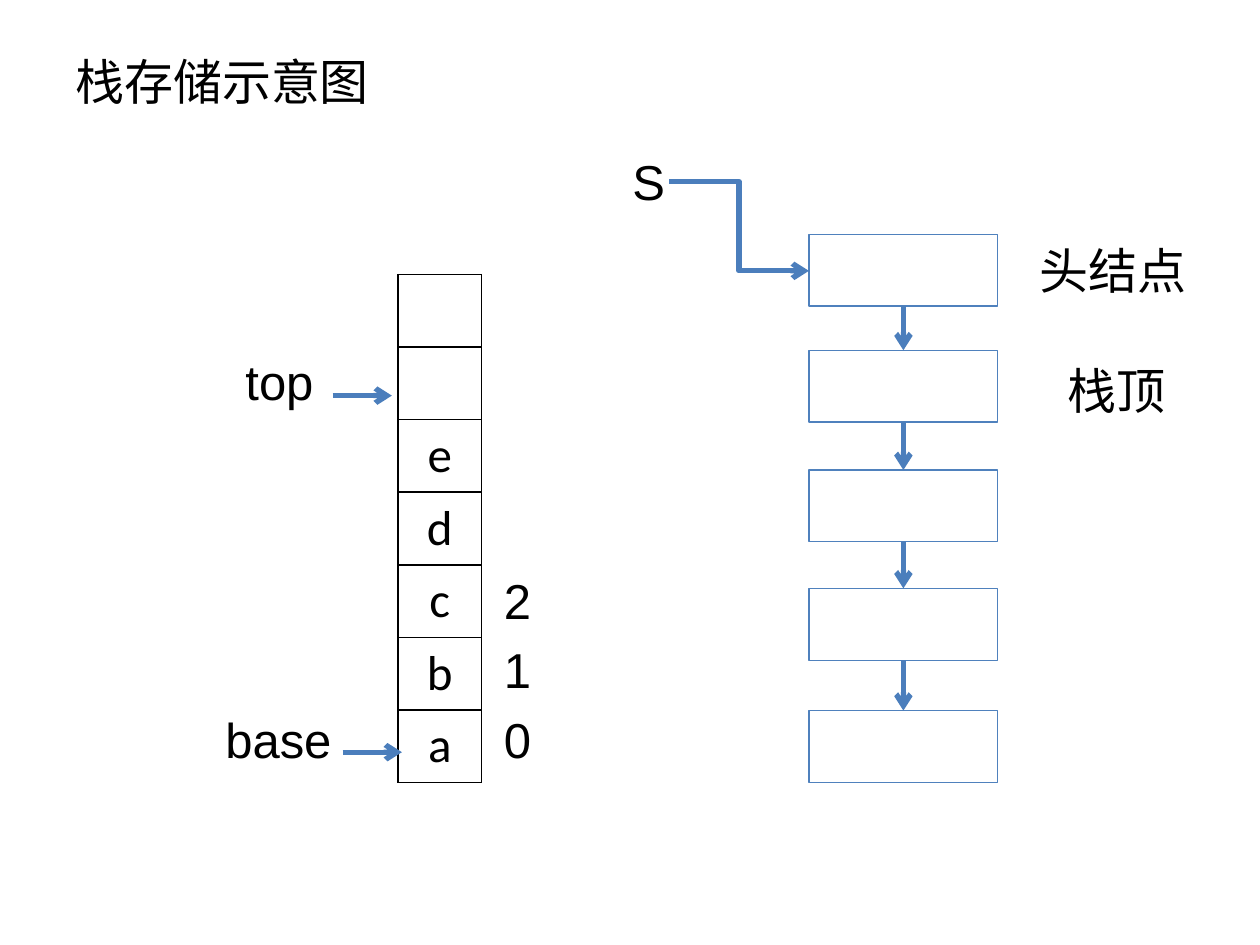
import dataclasses
import itertools

import lxml.etree
import pptx
import pptx.dml.color
import pptx.enum.shapes
import pptx.enum.text
import pptx.oxml.ns
import pptx.util

# The slide is a grid of 100 columns by 75 rows of square units.
UNIT = 0.1
BLACK, WHITE, NODE_BLUE, ARROW_BLUE = "000000", "FFFFFF", "4F81BD", "4B7EBC"
TEXT_SIZE = 28
LABEL_HEIGHT = 5.7
ALIGN = pptx.enum.text.PP_ALIGN
ANCHOR = pptx.enum.text.MSO_ANCHOR
CONNECTOR = pptx.enum.shapes.MSO_CONNECTOR

STACK = ("", "", "e", "d", "c", "b", "a")
STACK_COL, STACK_ROW, STACK_WIDTH, CELL_HEIGHT = 31.6, 21.8, 6.6, 5.7
NODE_COL, NODE_WIDTH, NODE_HEIGHT = 64.2, 15, 5.7
NODE_ROWS = (18.6, 27.8, 37.3, 46.7, 56.4)
INDEX_COL, INDEX_BASE_ROW, INDEX_STEP = 39, 55.8, 5.5


@dataclasses.dataclass(frozen=True)
class Label:
    text: str
    col: float
    row: float
    width: float
    height: float = LABEL_HEIGHT
    font: str = "Arial"
    align: ALIGN = ALIGN.LEFT
    anchor: ANCHOR = ANCHOR.TOP


@dataclasses.dataclass(frozen=True)
class Arrow:
    start: tuple[float, float]
    end: tuple[float, float]
    kind: CONNECTOR = CONNECTOR.STRAIGHT


LABELS = (
    Label("栈存储示意图", 5, 3, 90, 6.9, "Calibri", anchor=ANCHOR.MIDDLE),
    Label("top", 18.5, 27.4, 8.7),
    Label("base", 16.9, 55.8, 11),
    Label("S", 49.2, 11.5, 3.9),
    Label("头结点", 81.5, 18.6, 14.2),
    Label("栈顶", 81.5, 28.1, 14.2, align=ALIGN.CENTER),
    *(Label(str(i), INDEX_COL, INDEX_BASE_ROW - i * INDEX_STEP, 6.3) for i in range(3)),
)
POINTERS = (
    Arrow((26.4, 31.4), (31.1, 31.4)),
    Arrow((27.2, 59.7), (31.9, 59.7)),
    Arrow((53.1, 14.4), (NODE_COL, 21.5), CONNECTOR.ELBOW),
)


def units(count: float) -> pptx.util.Inches:
    return pptx.util.Inches(count * UNIT)


def color(value: str) -> pptx.dml.color.RGBColor:
    return pptx.dml.color.RGBColor.from_string(value)


def write(paragraph, text: str, font: str, align: ALIGN) -> None:
    paragraph.alignment = align
    run = paragraph.add_run()
    run.text = text
    run.font.name = font
    run.font.size = pptx.util.Pt(TEXT_SIZE)
    run.font.color.rgb = color(BLACK)


def add_label(slide, label: Label) -> None:
    box = slide.shapes.add_textbox(*map(units, (label.col, label.row, label.width, label.height)))
    box.text_frame.word_wrap = True
    box.text_frame.vertical_anchor = label.anchor
    write(box.text_frame.paragraphs[0], label.text, label.font, label.align)


def add_node(slide, row: float):
    node = slide.shapes.add_shape(
        pptx.enum.shapes.MSO_SHAPE.RECTANGLE,
        *map(units, (NODE_COL, row, NODE_WIDTH, NODE_HEIGHT)),
    )
    node.shadow.inherit = False
    node.fill.background()
    node.line.color.rgb = color(NODE_BLUE)
    node.line.width = pptx.util.Pt(0.75)
    return node


def add_arrow(slide, arrow: Arrow):
    connector = slide.shapes.add_connector(arrow.kind, *map(units, arrow.start + arrow.end))
    connector.line.color.rgb = color(ARROW_BLUE)
    connector.line.width = pptx.util.Pt(3)
    outline = connector.line._get_or_add_ln()
    lxml.etree.SubElement(outline, pptx.oxml.ns.qn("a:tailEnd"), type="arrow")
    lxml.etree.SubElement(connector._element.spPr, pptx.oxml.ns.qn("a:effectLst"))
    return connector


def link_nodes(slide, upper, lower, upper_row: float, lower_row: float) -> None:
    middle = NODE_COL + NODE_WIDTH / 2
    link = add_arrow(slide, Arrow((middle, upper_row + NODE_HEIGHT), (middle, lower_row)))
    link.begin_connect(upper, 2)
    link.end_connect(lower, 0)


def border_cell(cell) -> None:
    properties = cell._tc.get_or_add_tcPr()
    for side in ("lnL", "lnR", "lnT", "lnB"):
        edge = lxml.etree.SubElement(
            properties, pptx.oxml.ns.qn(f"a:{side}"), w=str(pptx.util.Pt(1))
        )
        fill = lxml.etree.SubElement(edge, pptx.oxml.ns.qn("a:solidFill"))
        lxml.etree.SubElement(fill, pptx.oxml.ns.qn("a:srgbClr"), val=BLACK)


def add_stack(slide) -> None:
    frame = slide.shapes.add_table(
        len(STACK), 1,
        *map(units, (STACK_COL, STACK_ROW, STACK_WIDTH, CELL_HEIGHT * len(STACK))),
    )
    table = frame.table
    table.first_row = table.horz_banding = False
    for index, element in enumerate(STACK):
        table.rows[index].height = units(CELL_HEIGHT)
        cell = table.cell(index, 0)
        border_cell(cell)
        cell.fill.solid()
        cell.fill.fore_color.rgb = color(WHITE)
        paragraph = cell.text_frame.paragraphs[0]
        if element:
            write(paragraph, element, "Calibri", ALIGN.CENTER)
        else:
            paragraph.font.size = pptx.util.Pt(TEXT_SIZE)


def main() -> None:
    deck = pptx.Presentation()
    deck.slide_width, deck.slide_height = units(100), units(75)
    slide = deck.slides.add_slide(deck.slide_layouts[6])
    add_stack(slide)
    for label in LABELS:
        add_label(slide, label)
    nodes = [(add_node(slide, row), row) for row in NODE_ROWS]
    for (upper, upper_row), (lower, lower_row) in itertools.pairwise(nodes):
        link_nodes(slide, upper, lower, upper_row, lower_row)
    for pointer in POINTERS:
        add_arrow(slide, pointer)
    deck.save("out.pptx")


if __name__ == "__main__":
    main()
